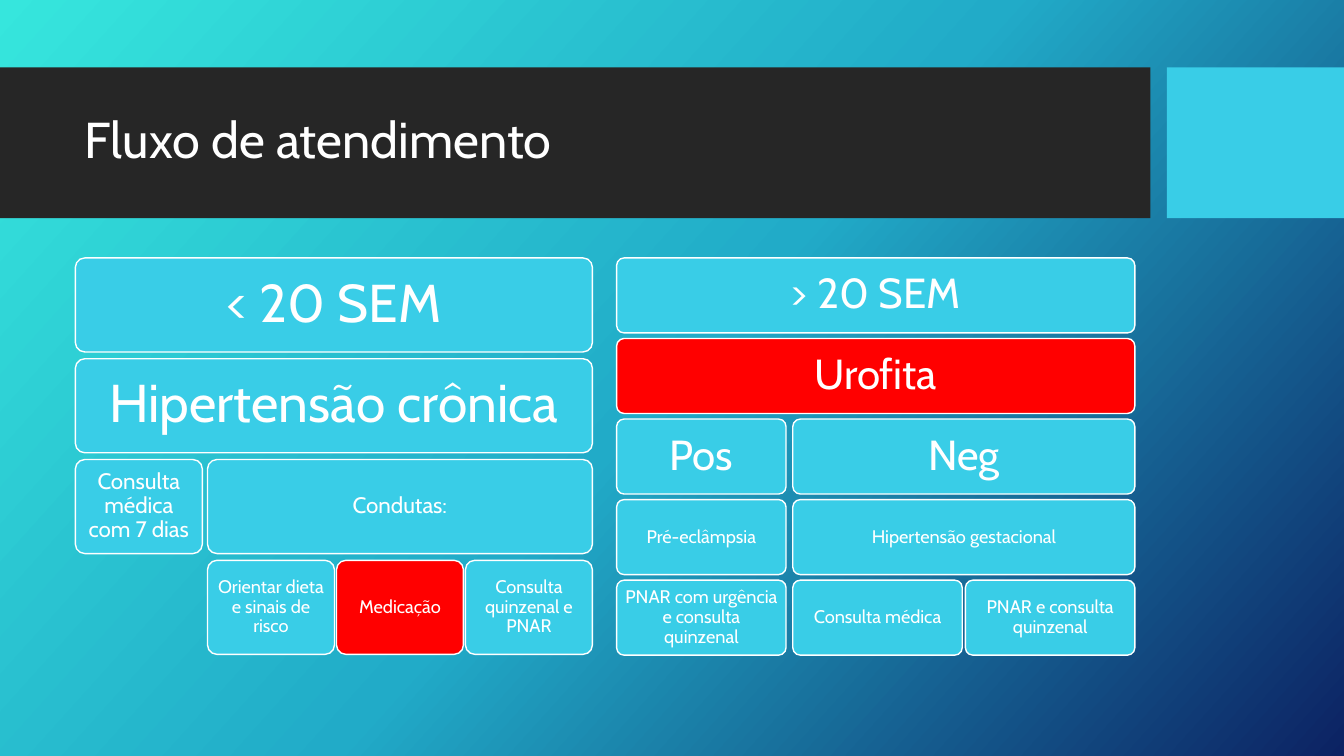
from copy import deepcopy
from dataclasses import dataclass

from pptx import Presentation
from pptx.dml.color import RGBColor
from pptx.enum.shapes import MSO_SHAPE
from pptx.enum.text import MSO_ANCHOR, PP_ALIGN
from pptx.util import Cm, Pt

RECTANGLE = MSO_SHAPE.RECTANGLE
ROUNDED = MSO_SHAPE.ROUNDED_RECTANGLE
MIDDLE = MSO_ANCHOR.MIDDLE
CENTER = PP_ALIGN.CENTER
LEFT = PP_ALIGN.LEFT


@dataclass(frozen=True)
class Theme:
    font: str = "Cabin"
    white: str = "FFFFFF"
    dark: str = "262626"
    cyan: str = "39CDE7"
    red: str = "FF0000"
    gradient: tuple = ((0, "36E6DD"), (0.5, "21ABC8"), (1, "0C2263"))
    title: int = 36
    huge: int = 38
    large: int = 30
    medium: int = 16
    small: int = 13


theme = Theme()


def add_block(kind, left, top, width, height, color):
    block = page.shapes.add_shape(kind, Cm(left), Cm(top), Cm(width), Cm(height))
    block.shadow.inherit = False
    block.fill.solid()
    block.fill.fore_color.rgb = RGBColor.from_string(color)
    block.line.fill.background()
    return block


def write_text(box, text, size, alignment, inset_x, inset_y):
    frame = box.text_frame
    frame.word_wrap = True
    frame.vertical_anchor = MIDDLE
    frame.margin_left = frame.margin_right = Cm(inset_x)
    frame.margin_top = frame.margin_bottom = Cm(inset_y)
    para = frame.paragraphs[0]
    para.alignment = alignment
    para.line_spacing = 0.9
    span = para.add_run()
    span.text = text
    span.font.name = theme.font
    span.font.size = Pt(size)
    span.font.color.rgb = RGBColor.from_string(theme.white)


deck = Presentation()
deck.slide_width = Cm(33.87)
deck.slide_height = Cm(19.05)
page = deck.slides.add_slide(deck.slide_layouts[6])

backdrop = page.background.fill
backdrop.gradient()
backdrop.gradient_angle = 318
stop_list = page.element.xpath(".//a:gsLst")[0]
stop_list.append(deepcopy(stop_list[0]))
for stop, (position, color) in zip(backdrop.gradient_stops, theme.gradient):
    stop.position = position
    stop.color.rgb = RGBColor.from_string(color)

add_block(RECTANGLE, 0, 1.7, 28.99, 3.8, theme.dark)
add_block(RECTANGLE, 29.41, 1.7, 4.46, 3.8, theme.cyan)
title_box = page.shapes.add_textbox(Cm(1.88), Cm(2.08), Cm(26.7), Cm(3))
write_text(title_box, "Fluxo de atendimento", theme.title, LEFT, 0.25, 0.13)

insets = {theme.huge: 0.41, theme.large: 0.3, theme.medium: 0.18, theme.small: 0.12}
panels_top = 6.5
panels = [
    {
        "columns": [1.9, 5.23, 8.48, 11.73],
        "card_width": 3.2,
        "card_height": 2.37,
        "row_step": 2.54,
        "rows": [
            (theme.huge, [("< 20 SEM", 0, 3)]),
            (theme.huge, [("Hipertensão crônica", 0, 3)]),
            (theme.medium, [("Consulta médica com 7 dias", 0, 0), ("Condutas:", 1, 3)]),
            (theme.small, [("Orientar dieta e sinais de risco", 1, 1),
                           ("Medicação", 2, 2),
                           ("Consulta quinzenal e PNAR", 3, 3)]),
        ],
    },
    {
        "columns": [15.54, 19.98, 24.33],
        "card_width": 4.27,
        "card_height": 1.89,
        "row_step": 2.03,
        "rows": [
            (theme.large, [("> 20 SEM", 0, 2)]),
            (theme.large, [("Urofita", 0, 2)]),
            (theme.large, [("Pos", 0, 0), ("Neg", 1, 2)]),
            (theme.small, [("Pré-eclâmpsia", 0, 0), ("Hipertensão gestacional", 1, 2)]),
            (theme.small, [("PNAR com urgência e consulta quinzenal", 0, 0),
                           ("Consulta médica", 1, 1),
                           ("PNAR e consulta quinzenal", 2, 2)]),
        ],
    },
]
highlighted = {"Medicação", "Urofita"}

for panel in panels:
    columns = panel["columns"]
    for row, (size, cards) in enumerate(panel["rows"]):
        top = panels_top + row * panel["row_step"]
        for text, first, last in cards:
            width = columns[last] + panel["card_width"] - columns[first]
            color = theme.red if text in highlighted else theme.cyan
            card = add_block(ROUNDED, columns[first], top, width, panel["card_height"], color)
            card.adjustments[0] = 0.1
            card.line.color.rgb = RGBColor.from_string(theme.white)
            card.line.width = Pt(1)
            write_text(card, text, size, CENTER, insets[size], insets[size])

deck.save("out.pptx")
